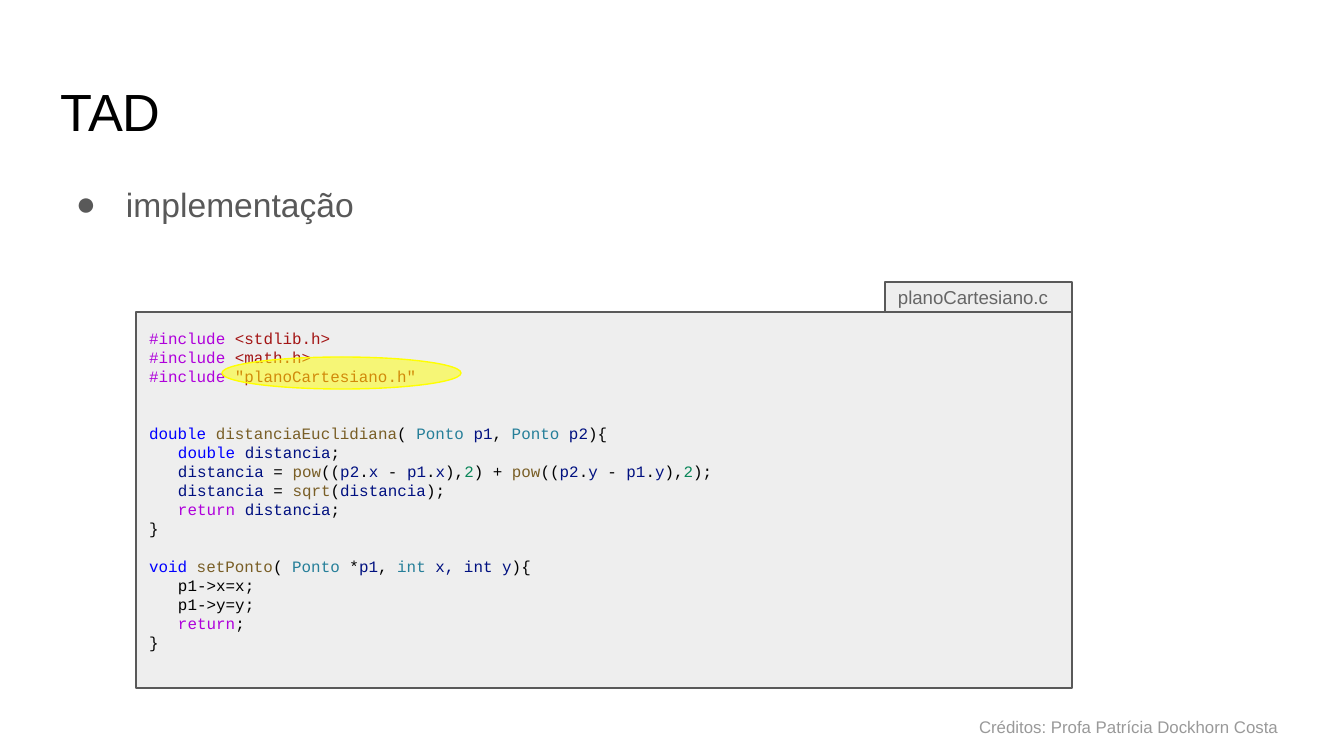
"""Build the TAD implementation slide with its C source listing."""
from lxml import etree
from pptx import Presentation
from pptx import util as u
from pptx.dml.color import RGBColor
from pptx.enum import shapes, text
from pptx.oxml.ns import qn

SCALE = 914400 / 134.4
SLIDE = (1344, 756)
INSET = 13
CODE_INSET = 17
CODE_INDENT = 29
CODE_LEADING = 10.2

COLORS = {
    "title": "000000", "body": "595959", "credit": "999999", "tab": "666666",
    "panel": "EEEEEE", "border": "595959", "marker": "FFFF00",
    "control": "AF00DB", "string": "A31515", "keyword": "0000FF",
    "function": "795E26", "type": "267F99", "variable": "001080",
    "number": "098658", "plain": "000000",
}
TOKENS = {"c": "control", "s": "string", "k": "keyword", "f": "function",
          "t": "type", "v": "variable", "n": "number", "p": "plain"}

TITLE = ("TAD", (47, 66, 1252, 84))
BODY = ("implementação", (46, 165, 1252, 502))
CREDIT = ("Créditos: Profa Patrícia Dockhorn Costa", (966, 704, 362, 47))
FILE_TAB = ("planoCartesiano.c", (885, 282, 187, 30))
PANEL = (136, 312, 936, 376)
MARKER = (222, 357, 239, 32)

# (blank lines before, indent level, tokens led by their colour key)
CODE = [
    (0, 0, "c#include |s<stdlib.h>"),
    (0, 0, "c#include |s<math.h>"),
    (0, 0, 'c#include |s"planoCartesiano.h"'),
    (2, 0, "kdouble |fdistanciaEuclidiana|p( |tPonto |vp1|p, |tPonto |vp2|p){"),
    (0, 1, "kdouble |vdistancia|p;"),
    (0, 1, "vdistancia|p = |fpow|p((|vp2|p.|vx|p - |vp1|p.|vx|p),|n2|p) + "
           "|fpow|p((|vp2|p.|vy|p - |vp1|p.|vy|p),|n2|p);"),
    (0, 1, "vdistancia|p = |fsqrt|p(|vdistancia|p);"),
    (0, 1, "creturn |vdistancia|p;"),
    (0, 0, "p}"),
    (1, 0, "kvoid |fsetPonto|p( |tPonto|p *|vp1|p, |tint |vx, int y|p){"),
    (0, 1, "pp1->x=x;"),
    (0, 1, "pp1->y=y;"),
    (0, 1, "creturn|p;"),
    (0, 0, "p}"),
]


def px(length):
    return u.Emu(round(length * SCALE))


def color(name):
    return RGBColor.from_string(COLORS[name])


def place(shape, bounds):
    shape.left, shape.top, shape.width, shape.height = map(px, bounds)


def style(span, size, name, font="Arial"):
    span.font.size = u.Pt(size)
    span.font.name = font
    span.font.color.rgb = color(name)


def frame_of(shape, anchor=text.MSO_ANCHOR.TOP):
    frame = shape.text_frame
    frame.word_wrap = True
    frame.auto_size = text.MSO_AUTO_SIZE.NONE
    frame.vertical_anchor = anchor
    frame.margin_left = frame.margin_right = px(INSET)
    frame.margin_top = frame.margin_bottom = px(INSET)
    return frame


def write(shape, words, size, name, anchor=text.MSO_ANCHOR.TOP):
    frame = frame_of(shape, anchor)
    frame.text = words
    para = frame.paragraphs[0]
    para.alignment = text.PP_ALIGN.LEFT
    para.space_before = u.Pt(0)
    style(para.runs[0], size, name)
    return para


def add_shape(kind, bounds, fill, line):
    shape = page.shapes.add_shape(kind, *map(px, bounds))
    shape.shadow.inherit = False
    shape.fill.solid()
    shape.fill.fore_color.rgb = color(fill)
    shape.line.color.rgb = color(line)
    shape.line.width = u.Pt(0.75)
    return shape


def add_bullet(para, name):
    props = para._p.get_or_add_pPr()
    props.set("marL", str(px(67)))
    props.set("indent", str(-px(50)))
    tint = etree.SubElement(props, qn("a:buClr"))
    etree.SubElement(tint, qn("a:srgbClr"), val=COLORS[name])
    etree.SubElement(props, qn("a:buFont"), typeface="Arial")
    etree.SubElement(props, qn("a:buChar"), char="●")


def write_code(shape):
    frame = frame_of(shape)
    frame.margin_top = px(CODE_INSET)
    for index, (blanks, level, tokens) in enumerate(CODE):
        para = frame.add_paragraph() if index else frame.paragraphs[0]
        para.alignment = text.PP_ALIGN.LEFT
        para.line_spacing = u.Pt(CODE_LEADING)
        para.space_before = u.Pt(blanks * CODE_LEADING)
        para._p.get_or_add_pPr().set("marL", str(px(level * CODE_INDENT)))
        for token in tokens.split("|"):
            span = para.add_run()
            span.text = token[1:]
            style(span, 8.5, TOKENS[token[0]], "Courier New")


deck = Presentation()
deck.slide_width, deck.slide_height = map(px, SLIDE)
page = deck.slides.add_slide(deck.slide_layouts[1])

title, body = page.placeholders
place(title, TITLE[1])
write(title, TITLE[0], 28, "title")
place(body, BODY[1])
item = write(body, BODY[0], 18, "body")
item.line_spacing = 1.15
add_bullet(item, "body")

credit = page.shapes.add_textbox(*map(px, CREDIT[1]))
write(credit, CREDIT[0], 9, "credit")

RECTANGLE = shapes.MSO_SHAPE.RECTANGLE
write_code(add_shape(RECTANGLE, PANEL, "panel", "border"))
file_tab = add_shape(RECTANGLE, FILE_TAB[1], "panel", "border")
write(file_tab, FILE_TAB[0], 10, "tab", text.MSO_ANCHOR.MIDDLE)

marker = add_shape(shapes.MSO_SHAPE.OVAL, MARKER, "marker", "marker")
marker_fill = marker._element.spPr.find(qn("a:solidFill")).find(qn("a:srgbClr"))
etree.SubElement(marker_fill, qn("a:alpha"), val="50000")

deck.save("out.pptx")
